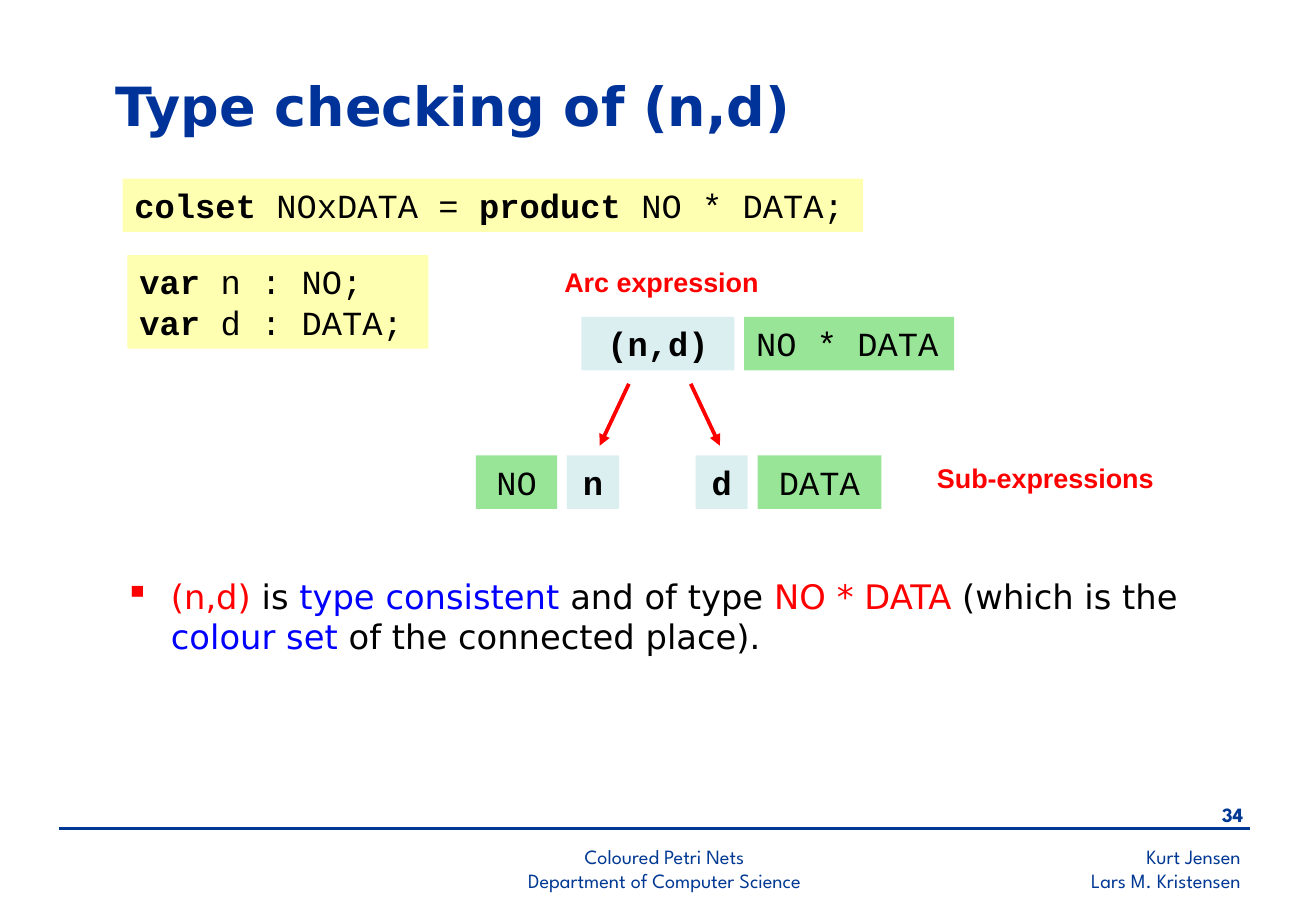
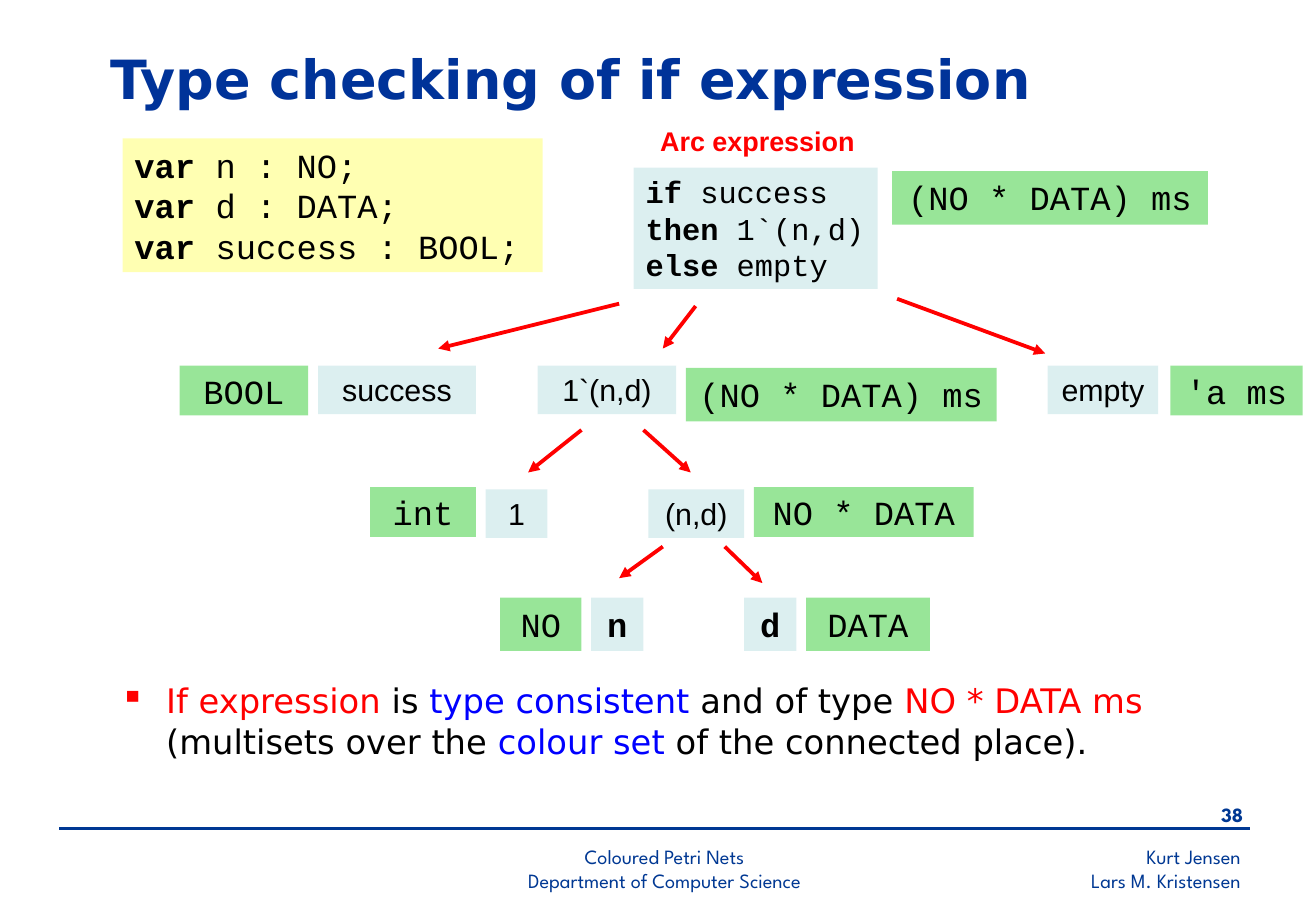
import dataclasses

import pptx
import pptx.dml.color
import pptx.enum.shapes
import pptx.enum.text
import pptx.oxml.ns
import pptx.util
from lxml import etree

RGB = pptx.dml.color.RGBColor
ALIGN = pptx.enum.text.PP_ALIGN
ANCHOR = pptx.enum.text.MSO_ANCHOR
RECTANGLE = pptx.enum.shapes.MSO_SHAPE.RECTANGLE
STRAIGHT = pptx.enum.shapes.MSO_CONNECTOR.STRAIGHT
qn = pptx.oxml.ns.qn

BLACK = RGB(0x00, 0x00, 0x00)
RED = RGB(0xFF, 0x00, 0x00)
BLUE = RGB(0x00, 0x00, 0xFF)
TITLE_BLUE = RGB(0x00, 0x33, 0x99)
FOOTER_BLUE = RGB(0x00, 0x38, 0x93)
YELLOW = RGB(0xFF, 0xFF, 0x66)
TEAL = RGB(0xBB, 0xE0, 0xE3)
GREEN = RGB(0x33, 0xCC, 0x33)

CELL = pptx.util.Inches(1)
COLUMNS, ROWS = 10.84, 7.5
GAP = 0.08


def text_style(name, size, color, bold=False):
    return {"name": name, "size": pptx.util.Pt(size), "bold": bold, "color": color}


TITLE = text_style("DejaVu Sans", 32, TITLE_BLUE, True)
BODY = text_style("DejaVu Sans", 20, BLACK)
FOOTER = text_style("League Spartan", 12, FOOTER_BLUE)
LABEL = text_style("Arial", 16, RED, True)
CODE = text_style("Courier New", 20, BLACK)
SMALL_CODE = text_style("Courier New", 18, BLACK)
TERM = text_style("Arial", 18, BLACK)

BOLD = {"bold": True}
MARKED = {"color": RED}
KEYWORD = {"color": BLUE}
PLAIN = {}


@dataclasses.dataclass
class Box:
    left: float
    top: float
    width: float
    height: float

    def inner(self, left, top, width, height):
        return Box(self.left + left, self.top + top, width, height)

    def lengths(self):
        return [round(value * CELL) for value in dataclasses.astuple(self)]


@dataclasses.dataclass
class Node:
    lines: list
    width: float
    fill: RGB
    style: dict
    height: float = 0.44
    drop: float = 0
    inset: float = 0.05
    align: ALIGN = ALIGN.CENTER


def expression(text, width):
    return Node([[(text, BOLD)]], width, TEAL, CODE)


def term(text, width):
    return Node([[(text, PLAIN)]], width, TEAL, TERM, height=0.4)


def colour_set(text, width, **changes):
    return Node([[(text, PLAIN)]], width, GREEN, CODE, **changes)


def short_set(text, width, drop=0):
    return colour_set(text, width, height=0.41, inset=0.04, drop=drop)


def format_font(font, style):
    for name, value in style.items():
        if name == "color":
            font.color.rgb = value
        else:
            setattr(font, name, value)


def write(frame, lines, style, align=ALIGN.LEFT, anchor=ANCHOR.TOP, inset=0.05):
    settings = {
        "word_wrap": True,
        "vertical_anchor": anchor,
        "margin_left": round(0.1 * CELL),
        "margin_right": round(0.1 * CELL),
        "margin_top": round(inset * CELL),
        "margin_bottom": round(inset * CELL),
    }
    for name, value in settings.items():
        setattr(frame, name, value)
    for index, line in enumerate(lines):
        para = frame.add_paragraph() if index else frame.paragraphs[0]
        para.alignment = align
        for text, changes in line:
            if text == "\n":
                para.add_line_break()
                continue
            span = para.add_run()
            span.text = text
            format_font(span.font, {**style, **changes})


def add_text(page, box, lines, style, **layout):
    shape = page.shapes.add_textbox(*box.lengths())
    write(shape.text_frame, lines, style, **layout)
    return shape


def add_panel(page, box, fill, lines, style, **layout):
    shape = page.shapes.add_shape(RECTANGLE, *box.lengths())
    shape.shadow.inherit = False
    shape.fill.solid()
    shape.fill.fore_color.rgb = fill
    color = shape.element.spPr.find(".//" + qn("a:srgbClr"))
    etree.SubElement(color, qn("a:alpha"), val="50000")
    shape.line.fill.background()
    write(shape.text_frame, lines, style, **layout)


def add_line(page, box, start, end, color, weight, arrow=False):
    ends = [box.left + start[0], box.top + start[1], box.left + end[0], box.top + end[1]]
    line = page.shapes.add_connector(STRAIGHT, *[round(value * CELL) for value in ends])
    line.line.color.rgb = color
    line.line.width = pptx.util.Pt(weight)
    if arrow:
        outline = line.element.spPr.find(qn("a:ln"))
        etree.SubElement(outline, qn("a:tailEnd"), type="triangle")
    etree.SubElement(line.element.spPr, qn("a:effectLst"))


def add_footer(page, box, number):
    add_line(page, box, (0, 0.26), (box.width, 0.26), FOOTER_BLUE, 1.5)
    entries = [
        (box.inner(6.46, 0.34, 3.37, 0.5), ["Kurt Jensen", "Lars M. Kristensen"], ALIGN.RIGHT, PLAIN),
        (box.inner(9.14, 0, 0.71, 0.33), [str(number)], ALIGN.RIGHT, BOLD),
        (box.inner(2.92, 0.34, 4.13, 0.47),
         ["Coloured Petri Nets", "Department of Computer Science"], ALIGN.CENTER, PLAIN),
    ]
    for place, texts, align, changes in entries:
        add_text(page, place, [[(text, changes)] for text in texts], FOOTER, align=align)


def add_bullet(page, box, spans):
    shape = add_text(page, box, [spans], BODY)
    props = shape.text_frame.paragraphs[0]._p.get_or_add_pPr()
    indent = round(0.38 * CELL)
    props.set("marL", str(indent))
    props.set("indent", str(-indent))
    color = etree.SubElement(props, qn("a:buClr"))
    etree.SubElement(color, qn("a:srgbClr"), val=str(RED))
    etree.SubElement(props, qn("a:buChar"), char="▪")


def add_pair(page, box, nodes, gap=GAP):
    left = 0
    for node in nodes:
        place = box.inner(left, node.drop, node.width, node.height)
        add_panel(page, place, node.fill, node.lines, node.style,
                  align=node.align, inset=node.inset)
        left += node.width + gap


def add_leaves(page, box):
    add_pair(page, box, [colour_set("NO", 0.67), expression("n", 0.43)])
    right = [expression("d", 0.43), colour_set("DATA", 1.02)]
    start = box.width - sum(node.width for node in right) - GAP
    add_pair(page, box.inner(start, 0, box.width - start, box.height), right)


def add_diagram(page, box, labels, pairs, arrows, leaves):
    for left, top, text in labels:
        add_text(page, box.inner(left, top, 2.24, 0.37), [[(text, PLAIN)]], LABEL)
    for left, top, gap, *nodes in pairs:
        add_pair(page, box.inner(left, top, 0, 0), nodes, gap)
    for start, end in arrows:
        add_line(page, box, start, end, RED, 2.25, arrow=True)
    add_leaves(page, box.inner(*leaves, 0.44))


def declare(names):
    return [[("var", BOLD), (f" {name};", PLAIN)] for name in names]


def add_page(deck, title, title_box, number):
    page = deck.slides.add_slide(deck.slide_layouts[6])
    add_footer(page, Box(0.49, 6.56, 9.81, 0.84), number)
    add_text(page, title_box, [[(title, PLAIN)]], TITLE, anchor=ANCHOR.MIDDLE)
    return page


def product_page(deck):
    page = add_page(deck, "Type checking of (n,d)", Box(0.85, 0.52, 6.65, 0.69), 34)
    product = [("colset ", BOLD), ("NOxDATA = ", PLAIN), ("product", BOLD), (" NO * DATA;", PLAIN)]
    add_panel(page, Box(1.01, 1.47, 6.1, 0.44), YELLOW, [product], CODE)
    add_panel(page, Box(1.05, 2.1, 2.48, 0.77), YELLOW, declare(["n : NO", "d : DATA"]), CODE)
    add_diagram(
        page, Box(3.9, 2.1, 6, 2.1),
        labels=[(0.65, 0.04, "Arc expression"), (3.72, 1.65, "Sub-expressions")],
        pairs=[(0.89, 0.51, GAP, expression("(n,d)", 1.26),
                colour_set("NO * DATA", 1.73, align=ALIGN.LEFT))],
        arrows=[((1.28, 1.06), (1.04, 1.57)), ((1.79, 1.06), (2.03, 1.57))],
        leaves=(0.02, 1.65, 3.34),
    )
    add_bullet(page, Box(0.93, 4.69, 9.29, 1.06), [
        ("(n,d)", MARKED), (" is ", PLAIN), ("type consistent", KEYWORD),
        (" and of type ", PLAIN), ("NO * DATA ", MARKED), ("(which is the ", PLAIN),
        ("colour set", KEYWORD), (" of the connected place).", PLAIN),
    ])


def condition_page(deck):
    page = add_page(deck, "Type checking of if expression", Box(0.81, 0.3, 9.61, 0.69), 38)
    variables = declare(["n : NO", "d : DATA", "success : BOOL"])
    add_panel(page, Box(1.01, 1.14, 3.46, 1.1), YELLOW, variables, CODE)
    branches = [("if", " success"), ("then", " 1`(n,d)"), ("else", " empty")]
    condition = Node([[(word, BOLD), (rest, PLAIN)] for word, rest in branches],
                     2.01, TEAL, SMALL_CODE, height=1, align=ALIGN.LEFT)
    add_diagram(
        page, Box(1.4, 0.9, 9.35, 4.5),
        labels=[(3.94, 0.08, "Arc expression")],
        pairs=[
            (3.82, 0.48, 0.12, condition, colour_set("(NO * DATA) ms", 2.6, drop=0.03)),
            (0.08, 2.11, GAP, short_set("BOOL", 1.06), term("success", 1.3)),
            (3.03, 2.11, GAP, term("1`(n,d)", 1.14),
             colour_set("(NO * DATA) ms", 2.56, drop=0.02)),
            (7.23, 2.11, 0.1, term("empty", 0.91), short_set("'a ms", 1.09)),
            (1.65, 3.13, GAP, short_set("int", 0.87, -0.02), term("1", 0.51)),
            (3.94, 3.13, GAP, term("(n,d)", 0.79), short_set("NO * DATA", 1.81, -0.02)),
        ],
        arrows=[
            ((3.7, 1.6), (2.21, 1.97)), ((4.33, 1.62), (4.06, 1.97)),
            ((5.99, 1.56), (7.21, 2.01)), ((3.39, 2.64), (2.95, 2.99)),
            ((3.9, 2.64), (4.29, 2.99)), ((4.06, 3.6), (3.7, 3.86)),
            ((4.57, 3.6), (4.88, 3.9)),
        ],
        leaves=(2.72, 4.02, 3.54),
    )
    add_bullet(page, Box(0.89, 5.55, 9.29, 0.91), [
        ("If expression", MARKED), (" is ", PLAIN), ("type consistent", KEYWORD),
        (" and of type ", PLAIN), ("NO * DATA ms", MARKED), ("\n", PLAIN),
        ("(multisets over the ", PLAIN), ("colour set", KEYWORD),
        (" of the connected place).", PLAIN),
    ])


def main():
    deck = pptx.Presentation()
    deck.slide_width = round(COLUMNS * CELL)
    deck.slide_height = round(ROWS * CELL)
    product_page(deck)
    condition_page(deck)
    deck.save("out.pptx")


if __name__ == "__main__":
    main()
